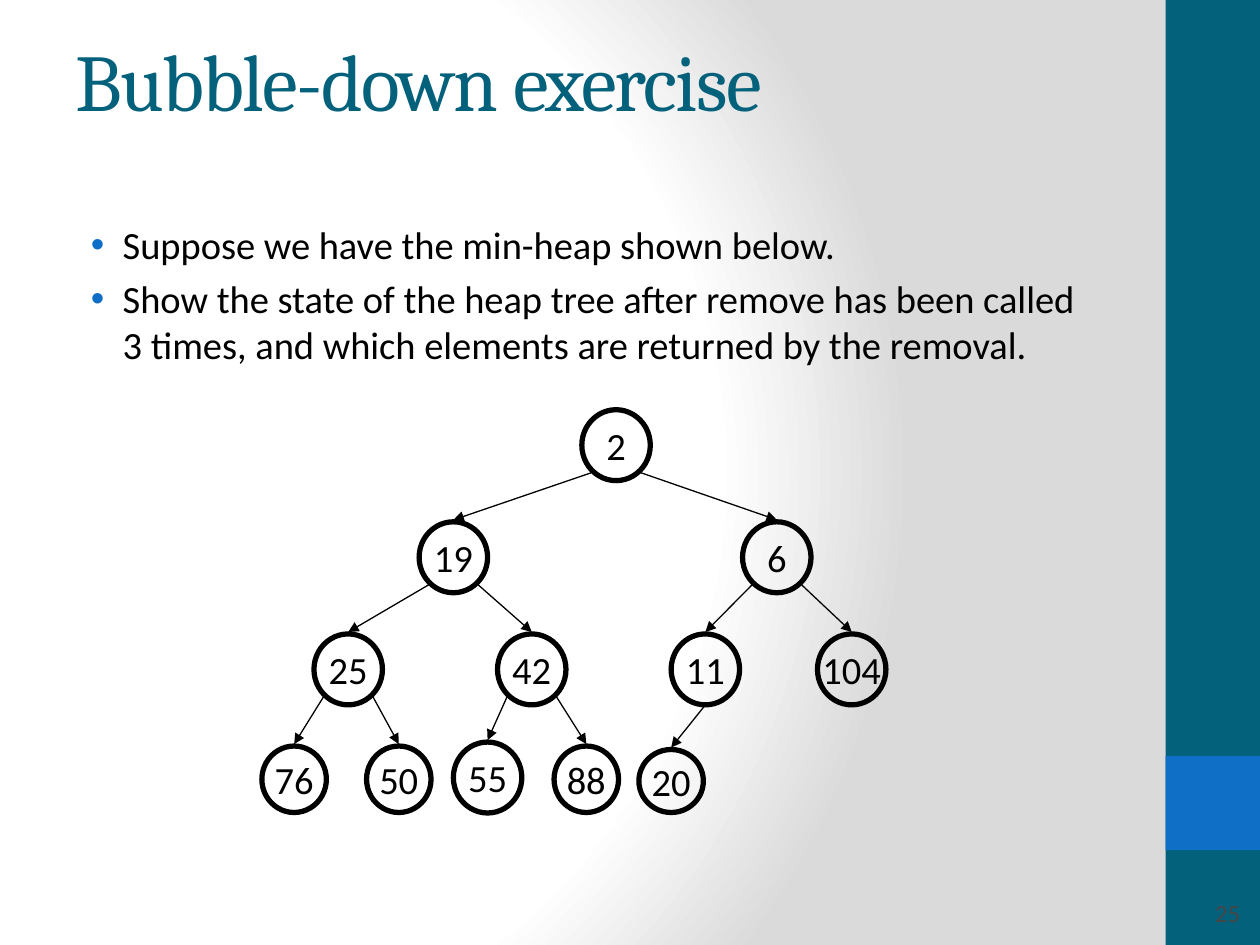
from lxml import etree
from pptx import Presentation
from pptx.dml.color import RGBColor
from pptx.enum.shapes import MSO_CONNECTOR, MSO_SHAPE
from pptx.enum.text import MSO_ANCHOR, MSO_AUTO_SIZE, PP_ALIGN
from pptx.oxml import parse_xml
from pptx.oxml.ns import nsdecls, qn
from pptx.util import Cm, Pt

LEFT, CENTER, RIGHT = PP_ALIGN.LEFT, PP_ALIGN.CENTER, PP_ALIGN.RIGHT
TOP, MIDDLE = MSO_ANCHOR.TOP, MSO_ANCHOR.MIDDLE
NO_FIT = MSO_AUTO_SIZE.NONE
OVAL, RECTANGLE = MSO_SHAPE.OVAL, MSO_SHAPE.RECTANGLE
STRAIGHT = MSO_CONNECTOR.STRAIGHT

TEAL, BLUE, BLACK, GRAY = "04617B", "0F6FC6", "000000", "464646"
TASKS = [
    "Suppose we have the min-heap shown below.",
    "Show the state of the heap tree after remove has been called 3 times, "
    "and which elements are returned by the removal.",
]
HEAP = [2, 19, 6, 25, 42, 11, 104, 76, 50, 55, 88, 20]
CENTERS = [12.42, 9.14, 15.66, 7.02, 10.72, 14.22, 17.17,
           5.93, 8.04, 9.83, 11.82, 13.53]
ROOT_TOP, LEVEL_STEP = 8.26, 2.26
NODE_SIZE, LEAF_SIZE = (1.38, 1.43), (1.3, 1.34)
SPECIAL_LEAVES = {55: (14.96, *NODE_SIZE), 20: (15.11, 1.3, 1.27)}


def color(value):
    """Return the colour of a hex string."""
    return RGBColor.from_string(value)


def write(shape, lines, font="Calibri", size=22, ink=BLACK, align=LEFT,
          anchor=TOP, wrap=True, spacing=None, bullet=None, before=0):
    """Fill a shape with formatted paragraphs."""
    frame = shape.text_frame
    frame.text = "\n".join(lines)
    frame.auto_size = NO_FIT
    frame.word_wrap = wrap
    frame.vertical_anchor = anchor
    for paragraph in frame.paragraphs:
        paragraph.alignment = align
        paragraph.space_before = Pt(before)
        run = paragraph.runs[0]
        run.font.name, run.font.size = font, Pt(size)
        run.font.color.rgb = color(ink)
        if spacing is not None:
            run.font._element.set("spc", str(spacing))
        if bullet:
            add_bullet(paragraph, bullet)


def add_bullet(paragraph, ink):
    """Give a paragraph a coloured bullet and a hanging indent."""
    properties = paragraph._p.get_or_add_pPr()
    properties.set("marL", str(Cm(0.95)))
    properties.set("indent", str(Cm(-0.64)))
    bullet_color = etree.SubElement(properties, qn("a:buClr"))
    etree.SubElement(bullet_color, qn("a:srgbClr"), val=ink)
    etree.SubElement(properties, qn("a:buFont"), typeface="Arial")
    etree.SubElement(properties, qn("a:buChar"), char="•")


def place(shape, left, top, width, height):
    """Set the position and size of a shape in centimetres."""
    shape.left, shape.top = Cm(left), Cm(top)
    shape.width, shape.height = Cm(width), Cm(height)


def add_background(slide):
    """Put a circular gradient behind the slide."""
    stops = "".join(
        f'<a:gs pos="{position}"><a:srgbClr val="{ink}"/></a:gs>'
        for position, ink in [(0, "FFFFFF"), (75000, "FFFFFF"), (100000, "DADADA")])
    background = parse_xml(
        f'<p:bg {nsdecls("p", "a")}><p:bgPr><a:gradFill rotWithShape="1">'
        f'<a:gsLst>{stops}</a:gsLst><a:path path="circle">'
        '<a:fillToRect l="20000" t="50000" r="100000" b="50000"/></a:path>'
        '</a:gradFill><a:effectLst/></p:bgPr></p:bg>')
    slide._element.cSld.insert(0, background)


def add_panel(slide, top, height, fill):
    """Draw one block of the side band."""
    panel = slide.shapes.add_shape(
        RECTANGLE, Cm(23.5), Cm(top), Cm(1.9), Cm(height))
    panel.shadow.inherit = False
    panel.fill.solid()
    panel.fill.fore_color.rgb = color(fill)
    panel.line.fill.background()


def node_box(index):
    """Return centre, top, width and height of a heap node."""
    level = (index + 1).bit_length() - 1
    size = LEAF_SIZE if level == 3 else NODE_SIZE
    regular = (ROOT_TOP + level * LEVEL_STEP, *size)
    return CENTERS[index], *SPECIAL_LEAVES.get(HEAP[index], regular)


def add_node(slide, index):
    """Draw a heap node with its value."""
    center, top, width, height = node_box(index)
    node = slide.shapes.add_shape(
        OVAL, Cm(center - width / 2), Cm(top), Cm(width), Cm(height))
    node.shadow.inherit = False
    node.fill.background()
    node.line.color.rgb = color(BLACK)
    node.line.width = Pt(3)
    write(node, [str(HEAP[index])], align=CENTER, anchor=MIDDLE, wrap=False)


def add_edge(slide, child):
    """Draw the arrow from a node's parent to the node."""
    parent_x, parent_top, _, parent_height = node_box((child - 1) // 2)
    child_x, child_top, _, _ = node_box(child)
    is_left = child % 2 == 1
    if is_left and child == len(HEAP) - 1:
        start_x, start_y = parent_x, parent_top + parent_height
    else:
        start_x = parent_x + (-0.5 if is_left else 0.5)
        start_y = parent_top + 1.27
    edge = slide.shapes.add_connector(
        STRAIGHT, Cm(start_x), Cm(start_y), Cm(child_x), Cm(child_top - 0.04))
    edge.line.color.rgb = color(BLACK)
    edge.line.width = Pt(0.75)
    etree.SubElement(edge.line._get_or_add_ln(), qn("a:tailEnd"), type="triangle")
    etree.SubElement(edge._element.spPr, qn("a:effectLst"))


def main():
    """Build and save the heap exercise slide."""
    presentation = Presentation()
    presentation.slide_width, presentation.slide_height = Cm(25.4), Cm(19.05)
    slide = presentation.slides.add_slide(presentation.slide_layouts[1])
    add_background(slide)
    add_panel(slide, 0, 19.05, TEAL)
    add_panel(slide, 15.24, 1.9, BLUE)

    title, tasks = slide.placeholders
    place(title, 1.27, 0, 21.16, 3.18)
    write(title, ["Bubble-down exercise"], font="Cambria", size=46, ink=TEAL,
          anchor=MIDDLE, spacing=-100)
    place(tasks, 1.27, 3.38, 21.16, 14.4)
    write(tasks, TASKS, bullet=BLUE, before=4.4)
    tasks.text_frame.margin_top = Cm(1.07)

    for index in range(len(HEAP)):
        add_node(slide, index)
    for child in range(1, len(HEAP)):
        add_edge(slide, child)

    page_number = slide.shapes.add_textbox(Cm(23.5), Cm(17.9), Cm(1.75), Cm(1))
    write(page_number, ["25"], size=14, ink=GRAY, align=RIGHT, anchor=MIDDLE)
    presentation.save("out.pptx")


main()
